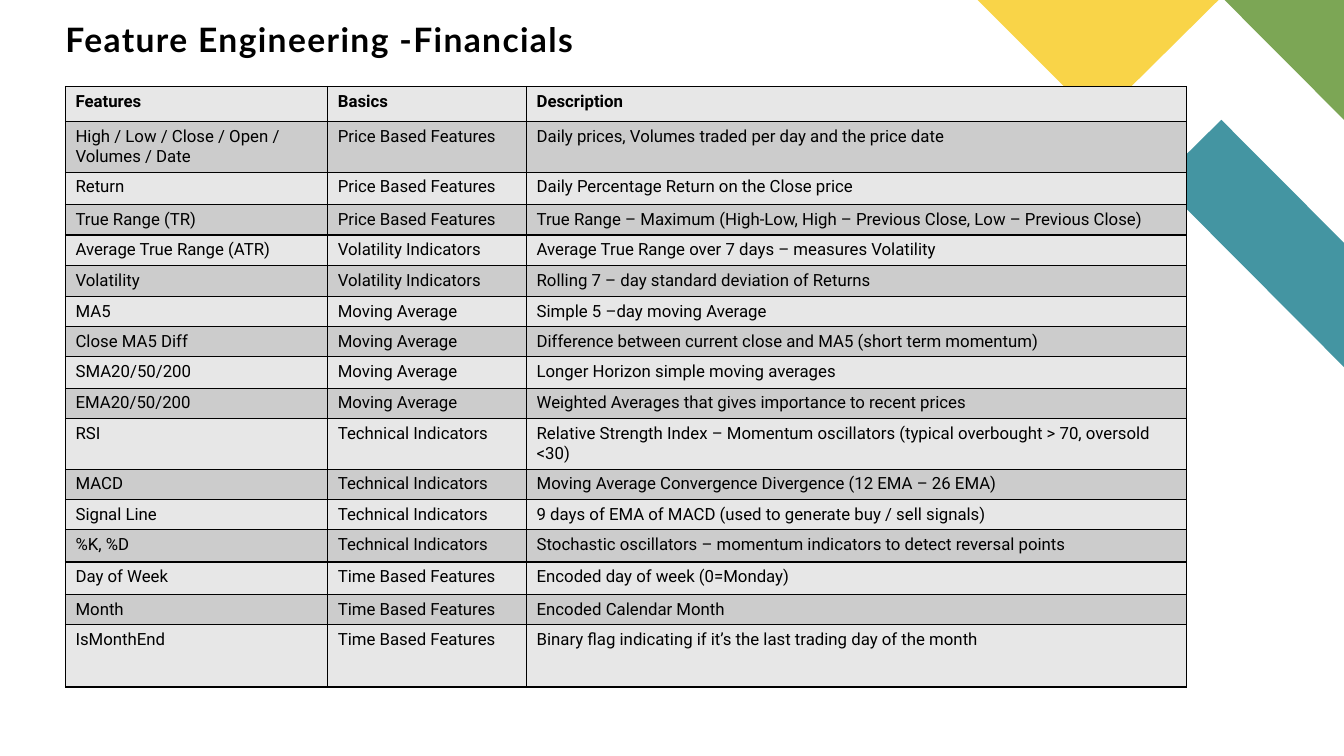
from lxml import etree
from pptx import Presentation
from pptx import util as u
from pptx.dml import color
from pptx.enum import text
from pptx.oxml import ns

COLORS = {
    "teal": "4495A2", "green": "7CA655", "yellow": "F9D448",
    "ink": "000000", "light": "E7E7E7", "dark": "CCCCCC",
}
RGB = {name: color.RGBColor.from_string(code) for name, code in COLORS.items()}

deck = Presentation()
deck.slide_width, deck.slide_height = u.Cm(33.87), u.Cm(19.05)
slide = deck.slides.add_slide(deck.slide_layouts[6])

# Corner decoration
corner_pieces = [
    ("teal", [(33.87, 9.25), (33.87, 6.12), (30.78, 3.02), (29.21, 4.57)]),
    ("green", [(33.87, 3.02), (33.87, 0), (30.86, 0)]),
    ("yellow", [(24.64, 0), (27.66, 3.02), (30.71, 0)]),
]
for hue, corners in corner_pieces:
    points = [(u.Cm(x), u.Cm(y)) for x, y in corners]
    outline = slide.shapes.build_freeform(*points[0])
    outline.add_line_segments(points[1:], close=True)
    piece = outline.convert_to_shape()
    piece.shadow.inherit = False
    piece.fill.solid()
    piece.fill.fore_color.rgb = RGB[hue]
    piece.line.fill.background()

# Title
title = slide.shapes.add_textbox(u.Cm(1.65), u.Cm(0.48), u.Cm(30.48), u.Cm(1.02)).text_frame
title.word_wrap = True
title.vertical_anchor = text.MSO_ANCHOR.TOP
title.margin_left = title.margin_right = title.margin_top = title.margin_bottom = 0
title.text = "Feature Engineering -Financials"
heading = title.paragraphs[0].runs[0]
heading.font.name, heading.font.size, heading.font.bold = "Lato", u.Pt(24), True
heading.font.color.rgb = RGB["ink"]
heading._r.get_or_add_rPr().set("spc", "100")

# Feature table: row height in cm, then feature, basis and description
features = [
    (0.89, "Features", "Basics", "Description"),
    (1.25, "High / Low / Close / Open / Volumes / Date", "Price Based Features",
     "Daily prices, Volumes traded per day and the price date"),
    (0.82, "Return", "Price Based Features", "Daily Percentage Return on the Close price"),
    (0.76, "True Range (TR)", "Price Based Features",
     "True Range – Maximum (High-Low, High – Previous Close, Low – Previous Close)"),
    (0.76, "Average True Range (ATR)", "Volatility Indicators",
     "Average True Range over 7 days – measures Volatility"),
    (0.78, "Volatility", "Volatility Indicators", "Rolling 7 – day standard deviation of Returns"),
    (0.76, "MA5", "Moving Average", "Simple 5 –day moving Average"),
    (0.76, "Close MA5 Diff", "Moving Average",
     "Difference between current close and MA5 (short term momentum)"),
    (0.79, "SMA20/50/200", "Moving Average", "Longer Horizon simple moving averages"),
    (0.77, "EMA20/50/200", "Moving Average",
     "Weighted Averages that gives importance to recent prices"),
    (1.24, "RSI", "Technical Indicators",
     "Relative Strength Index – Momentum oscillators (typical overbought > 70, oversold <30)"),
    (0.76, "MACD", "Technical Indicators",
     "Moving Average Convergence Divergence (12 EMA – 26 EMA)"),
    (0.76, "Signal Line", "Technical Indicators",
     "9 days of EMA of MACD (used to generate buy / sell signals)"),
    (0.81, "%K, %D", "Technical Indicators",
     "Stochastic oscillators – momentum indicators to detect reversal points"),
    (0.82, "Day of Week", "Time Based Features", "Encoded day of week (0=Monday)"),
    (0.76, "Month", "Time Based Features", "Encoded Calendar Month"),
    (1.57, "IsMonthEnd", "Time Based Features",
     "Binary flag indicating if it’s the last trading day of the month"),
]
column_widths = [6.61, 5.01, 16.63]
table = slide.shapes.add_table(
    len(features), len(column_widths), u.Cm(1.65), u.Cm(2.18),
    u.Cm(sum(column_widths)), u.Cm(sum(row[0] for row in features))).table
table.first_row = table.horz_banding = False
for column, width in zip(table.columns, column_widths):
    column.width = u.Cm(width)

for row_index, (height, *entries) in enumerate(features):
    table.rows[row_index].height = u.Cm(height)
    for column_index, entry in enumerate(entries):
        cell = table.cell(row_index, column_index)
        cell.text_frame.text = entry
        font = cell.text_frame.paragraphs[0].runs[0].font
        font.name, font.size, font.bold = "Roboto", u.Pt(12), row_index == 0
        font.color.rgb = RGB["ink"]
        # Borders come before the fill in the cell properties
        properties = cell._tc.get_or_add_tcPr()
        for side in ("a:lnL", "a:lnR", "a:lnT", "a:lnB"):
            border = etree.SubElement(properties, ns.qn(side), w=str(u.Pt(1)))
            ink = etree.SubElement(border, ns.qn("a:solidFill"))
            etree.SubElement(ink, ns.qn("a:srgbClr"), val=COLORS["ink"])
        cell.fill.solid()
        cell.fill.fore_color.rgb = RGB["dark" if row_index % 2 else "light"]

deck.save("out.pptx")
